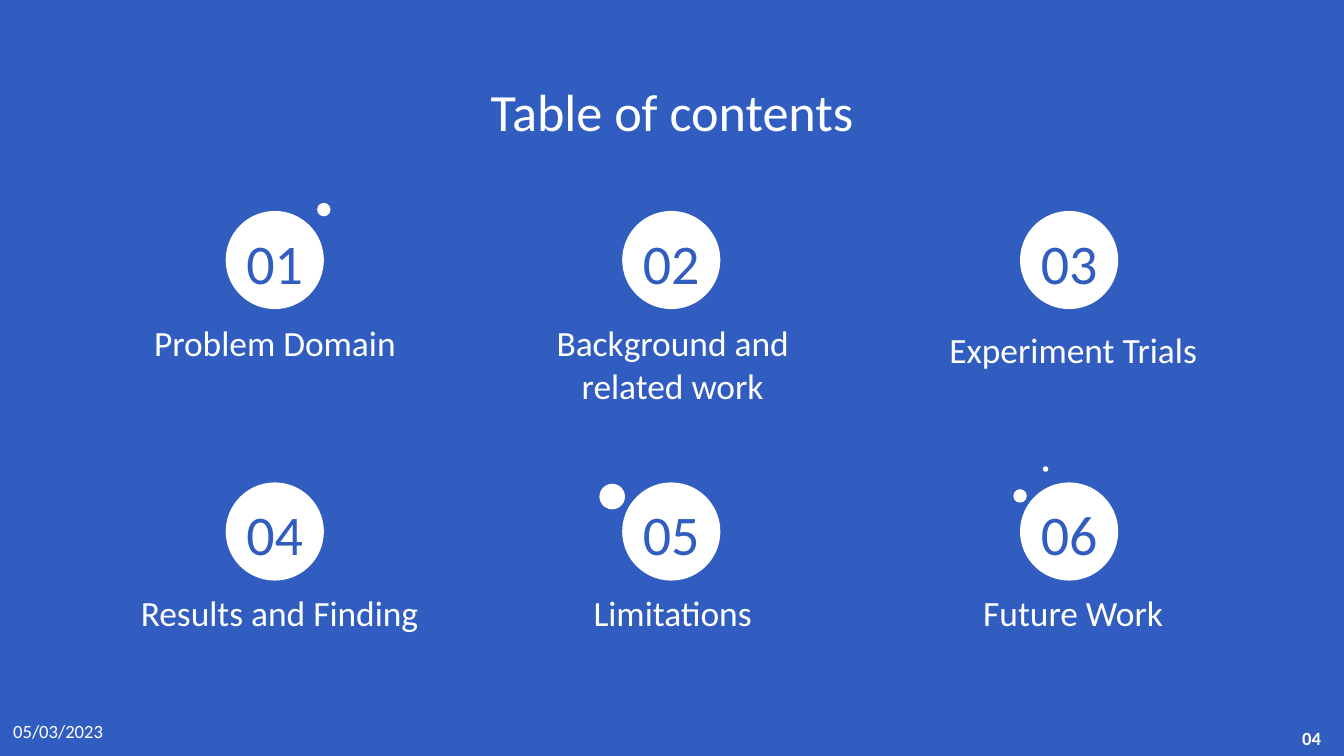
import pptx
import pptx.util
import pptx.dml.color
import pptx.enum.shapes
import pptx.enum.text

Inches = pptx.util.Inches
ALIGN = pptx.enum.text.PP_ALIGN
ANCHOR = pptx.enum.text.MSO_ANCHOR
SHAPE = pptx.enum.shapes.MSO_SHAPE
BLUE = "305DBF"
WHITE = "FFFFFF"
WIDTH = 10
DISC = 0.73
COLS = (1.68, 4.63, 7.59)
ROWS = (1.57, 3.59)
TOPICS = (
    ("Problem Domain", 0.72, 2.29, 2.65),
    ("Background and related work", 3.68, 2.29, 2.65),
    ("Experiment Trials", 6.7, 2.34, 2.57),
    ("Results and Finding", 0.69, 4.3, 2.78),
    ("Limitations", 3.68, 4.3, 2.65),
    ("Future Work", 6.66, 4.3, 2.65),
)
DOTS = ((2.36, 1.51, 0.1), (7.54, 3.64, 0.1), (7.76, 3.47, 0.04), (4.46, 3.6, 0.19))


def paint(fill, color):
    """Make a fill solid in a hex color."""
    fill.solid()
    fill.fore_color.rgb = pptx.dml.color.RGBColor.from_string(color)


def add_shape(slide, kind, box, color):
    """Add a flat shape without outline and return it."""
    shape = slide.shapes.add_shape(kind, *map(Inches, box))
    shape.shadow.inherit = False
    paint(shape.fill, color)
    shape.line.fill.background()
    return shape


def set_text(shape, text, size, color=WHITE, align=ALIGN.CENTER,
             anchor=ANCHOR.TOP, inset=0.1, bold=False):
    """Write one styled paragraph into a shape."""
    frame = shape.text_frame
    frame.text = text
    frame.word_wrap = True
    frame.vertical_anchor = anchor
    frame.margin_left = frame.margin_right = Inches(0.1)
    frame.margin_top = frame.margin_bottom = Inches(inset)
    line = frame.paragraphs[0]
    line.alignment = align
    font = line.runs[0].font
    font.name = "Calibri"
    font.size = pptx.util.Pt(size)
    font.bold = bold
    font.color.rgb = pptx.dml.color.RGBColor.from_string(color)


def add_text(slide, text, box, size, **style):
    """Add a text box with one styled paragraph."""
    set_text(slide.shapes.add_textbox(*map(Inches, box)), text, size, **style)


def add_topic(slide, index, topic):
    """Add a numbered disc with its topic below."""
    row, col = divmod(index, len(COLS))
    box = (COLS[col], ROWS[row], DISC, DISC)
    add_shape(slide, SHAPE.OVAL, box, WHITE)
    add_text(slide, f"{index + 1:02}", box, 30, color=BLUE, anchor=ANCHOR.BOTTOM)
    text, left, top, width = topic
    add_text(slide, text, (left, top, width, 0.46), 19)


def add_foot(slide):
    """Add the page number and the date."""
    page = add_shape(slide, SHAPE.RECTANGLE, (9.59, 5.36, 0.44, 0.27), BLUE)
    set_text(page, "04", 10, align=ALIGN.LEFT, inset=0.05, bold=True)
    add_text(slide, "05/03/2023", (0, 5.31, 1.12, 0.27), 10,
             align=ALIGN.LEFT, inset=0.05)


def main():
    """Build the contents slide and save it."""
    deck = pptx.Presentation()
    deck.slide_width = Inches(WIDTH)
    deck.slide_height = Inches(WIDTH * 9 / 16)
    slide = deck.slides.add_slide(deck.slide_layouts[6])
    paint(slide.background.fill, BLUE)
    add_text(slide, "Table of contents", (0.34, 0.49, 9.32, 0.63), 28)
    for index, topic in enumerate(TOPICS):
        add_topic(slide, index, topic)
    for left, top, size in DOTS:
        add_shape(slide, SHAPE.OVAL, (left, top, size, size), WHITE)
    add_foot(slide)
    deck.save("out.pptx")


if __name__ == "__main__":
    main()
